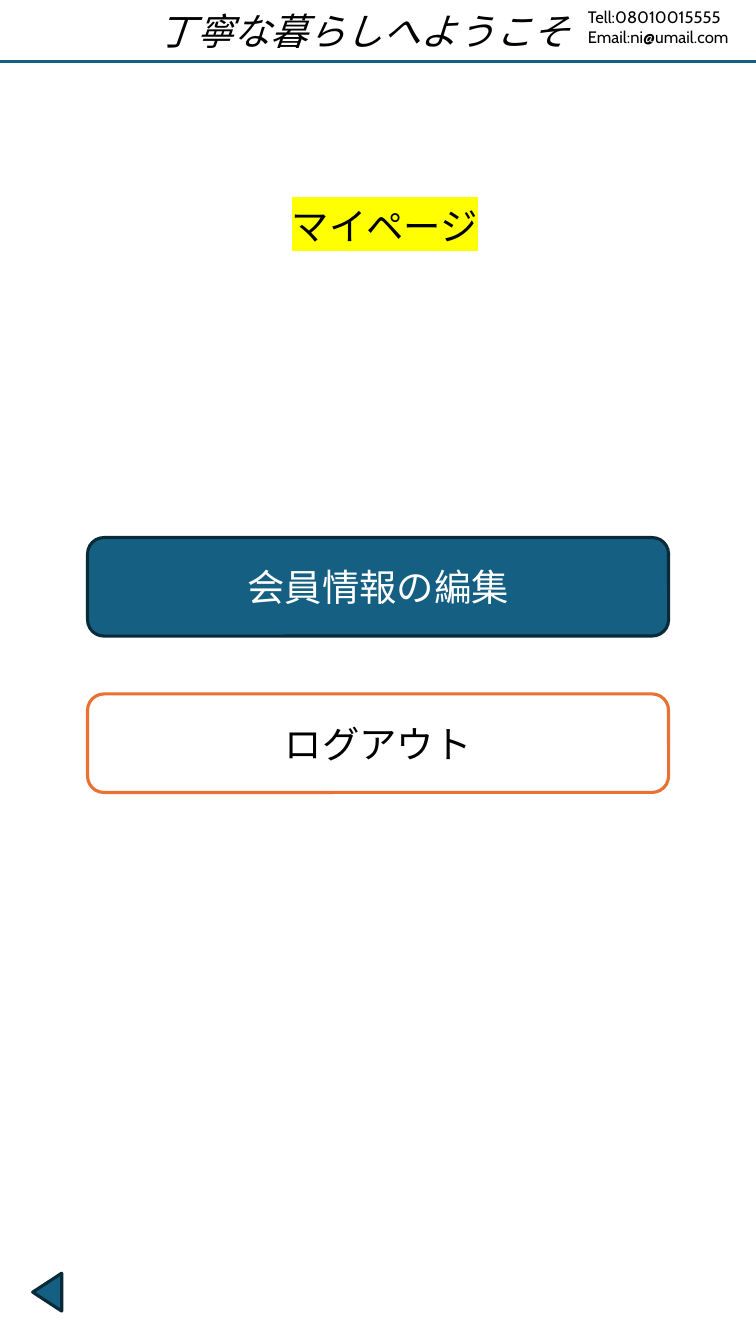
import pptx
import pptx.dml.color
import pptx.enum.shapes
import pptx.enum.text
import pptx.oxml
import pptx.oxml.ns
import pptx.util

Pt = pptx.util.Pt
RGB = pptx.dml.color.RGBColor
KIND = pptx.enum.shapes.MSO_SHAPE
ALIGN = pptx.enum.text.PP_ALIGN
ANCHOR = pptx.enum.text.MSO_ANCHOR

TEAL = RGB(0x15, 0x60, 0x82)
NAVY = RGB(0x09, 0x2A, 0x39)
ORANGE = RGB(0xE9, 0x71, 0x32)
WHITE = RGB(0xFF, 0xFF, 0xFF)
BLACK = RGB(0, 0, 0)
YELLOW = RGB(0xFF, 0xFF, 0)
FONT = "Cabin"
WIDTH, HEIGHT = 364.32, 648
RULE = 29.5


def add_run(para, words, size=18, color=BLACK, italic=None):
    run = para.add_run()
    run.text = words
    font = run.font
    font.size = Pt(size)
    font.name = FONT
    font.italic = italic
    font.color.rgb = color
    return run


def add_label(slide, box, lines, align=ALIGN.CENTER, **style):
    label = slide.shapes.add_textbox(*map(Pt, box))
    frame = label.text_frame
    frame.word_wrap = True
    runs = []
    for index, words in enumerate(lines):
        para = frame.add_paragraph() if index else frame.paragraphs[0]
        para.alignment = align
        runs.append(add_run(para, words, **style))
    return runs


def mark(run, color):
    space = pptx.oxml.ns.nsdecls("a")
    tint = pptx.oxml.parse_xml(
        f'<a:highlight {space}><a:srgbClr val="{color}"/></a:highlight>')
    fill = run.font._element.find(pptx.oxml.ns.qn("a:solidFill"))
    fill.addnext(tint)


def add_shape(slide, kind, box, fill, edge):
    shape = slide.shapes.add_shape(kind, *map(Pt, box))
    shape.shadow.inherit = False
    shape.fill.solid()
    shape.fill.fore_color.rgb = fill
    shape.line.color.rgb = edge
    shape.line.width = Pt(1.5)
    return shape


def add_button(slide, top, words, fill, edge, color):
    box = (42.2, top, 280, 47.5)
    button = add_shape(slide, KIND.ROUNDED_RECTANGLE, box, fill, edge)
    frame = button.text_frame
    frame.word_wrap = True
    frame.vertical_anchor = ANCHOR.MIDDLE
    para = frame.paragraphs[0]
    para.alignment = ALIGN.CENTER
    add_run(para, words, color=color)


def add_rule(slide, top):
    rule = slide.shapes.add_connector(
        pptx.enum.shapes.MSO_CONNECTOR.STRAIGHT,
        Pt(0), Pt(top), Pt(WIDTH), Pt(top))
    rule.line.color.rgb = TEAL
    rule.line.width = Pt(1.5)
    space = pptx.oxml.ns.nsdecls("a")
    rule._element.spPr.append(
        pptx.oxml.parse_xml(f"<a:effectLst {space}/>"))


def add_header(slide):
    add_label(slide, (33.1, 0.5, 285, 29), ["丁寧な暮らしへようこそ"], italic=True)
    add_rule(slide, RULE)
    add_label(slide, (276.2, 0, 88, 27),
              ["Tell:08010015555", "Email:ni@umail.com"],
              align=ALIGN.LEFT, size=8)


def add_back(slide):
    arrow = add_shape(slide, KIND.ISOSCELES_TRIANGLE,
                      (13.6, 616, 18.3, 14), TEAL, NAVY)
    arrow.rotation = 270


def main():
    deck = pptx.Presentation()
    deck.slide_width, deck.slide_height = Pt(WIDTH), Pt(HEIGHT)
    slide = deck.slides.add_slide(deck.slide_layouts[6])
    title = add_label(slide, (54.7, 94.3, 261.4, 29), ["マイページ"])
    mark(title[0], YELLOW)
    add_button(slide, 259.2, "会員情報の編集", TEAL, NAVY, WHITE)
    add_back(slide)
    add_button(slide, 334.6, "ログアウト", WHITE, ORANGE, BLACK)
    add_header(slide)
    deck.save("out.pptx")


if __name__ == "__main__":
    main()
